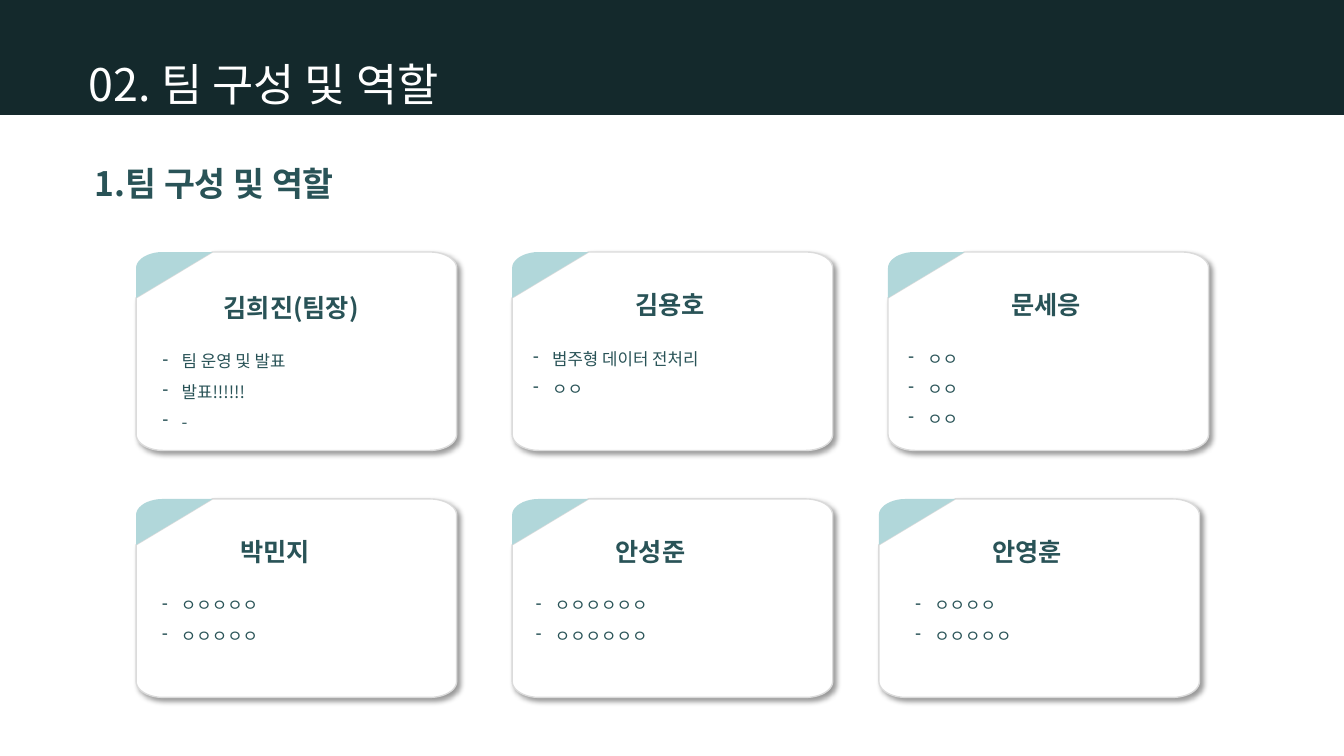
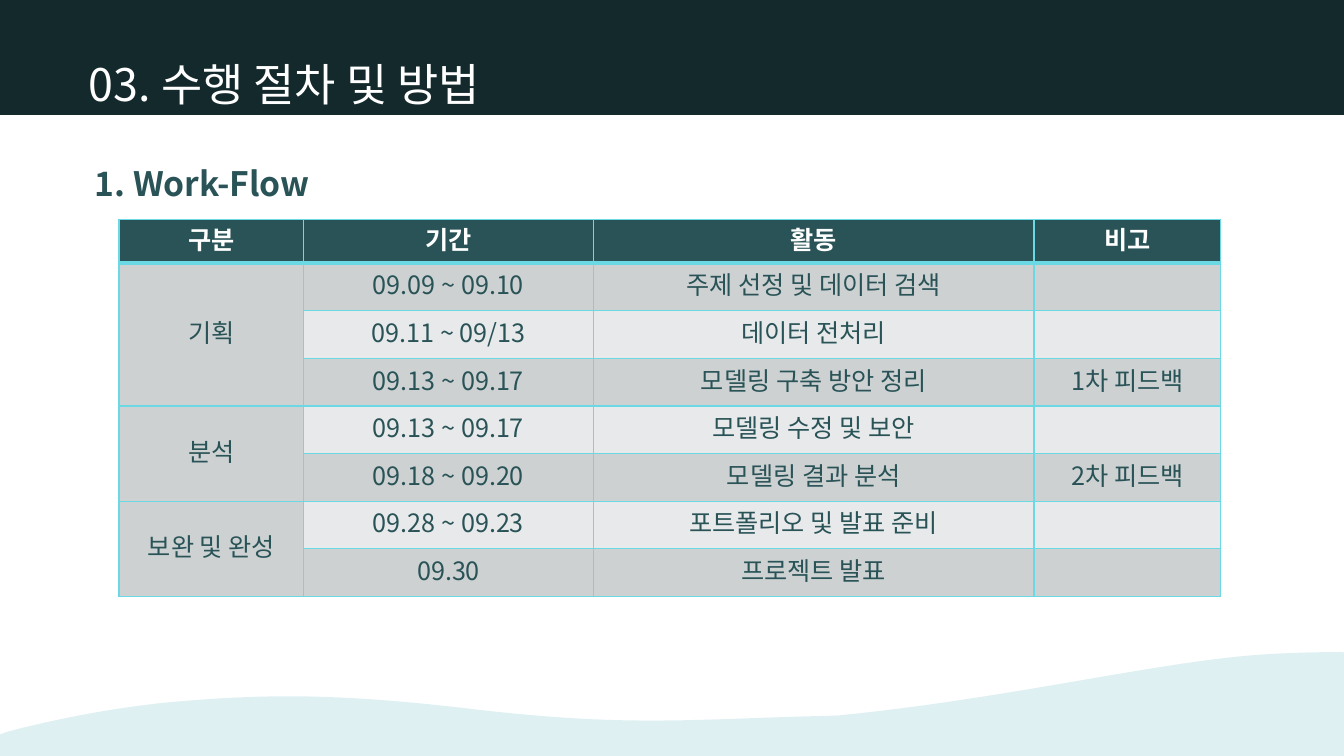
from dataclasses import dataclass
from math import cos, radians, sin

from lxml.etree import SubElement
from pptx import Presentation
from pptx.dml.color import RGBColor
from pptx.enum.shapes import MSO_SHAPE
from pptx.enum.text import MSO_ANCHOR, MSO_AUTO_SIZE, PP_ALIGN
from pptx.oxml import parse_xml
from pptx.oxml.ns import nsdecls, qn
from pptx.util import Pt

FONT = "Noto Sans CJK KR"
LINE_HEIGHT = 1.2

NAVY = RGBColor(0x14, 0x29, 0x2C)
TEAL = RGBColor(0x29, 0x53, 0x57)
FOLD = RGBColor(0xB1, 0xD7, 0xDA)
WAVE = RGBColor(0xDE, 0xF0, 0xF2)
EDGE = RGBColor(0xDB, 0xDB, 0xDB)
GRID = RGBColor(0x6B, 0xD9, 0xE3)
ROW_DARK = RGBColor(0xCD, 0xD1, 0xD1)
ROW_LIGHT = RGBColor(0xE8, 0xE9, 0xEA)
WHITE = RGBColor(0xFF, 0xFF, 0xFF)

SLIDE_W, SLIDE_H = 960, 540
BAND_H = 81.4
CARD_W, CARD_H = 229, 141.8
CARD_TOPS = (180, 356.4)
CORNER_X, CORNER_Y = 19.3, 11.5
FOLD_W, FOLD_H = 54.6, 32.8

WAVE_START = (1052.6, 486)
WAVE_CURVES = [
    ((1028.9, 468), (982.1, 463), (905.8, 467.3)),
    ((830.2, 471.6), (722.9, 499), (597.6, 511.2)),
    ((495.4, 513.4), (452.9, 519.8), (340.6, 506.9)),
    ((250.6, 496.1), (198, 495.4), (136.1, 500.4)),
    ((73.4, 504.7), (-1.4, 522), (-32.4, 535)),
]


@dataclass
class Member:
    """A card: its place, and the offsets of its name and duties in it."""
    left: float
    row: int
    name: str
    duties: list
    name_x: float
    duties_x: float
    drop: float = 0


MEMBERS = [
    Member(97.2, 0, "김희진(팀장)", ["팀 운영 및 발표", "발표!!!!!!", "-"], 55.5, 12, 2),
    Member(365.8, 0, "김용호", ["범주형 데이터 전처리", "ㅇㅇ"], 81, 8),
    Member(634.3, 0, "문세응", ["ㅇㅇ"] * 3, 81, 7.5),
    Member(97.2, 1, "박민지", ["ㅇㅇㅇㅇㅇ"] * 2, 67.5, 11.5),
    Member(365.8, 1, "안성준", ["ㅇㅇㅇㅇㅇㅇ"] * 2, 67, 10),
    Member(627.8, 1, "안영훈", ["ㅇㅇㅇㅇ", "ㅇㅇㅇㅇㅇ"], 74, 19),
]

SCHEDULE_COLUMNS = (132, 206.8, 314.8, 133.4)
SCHEDULE = [
    ("구분", "기간", "활동", "비고"),
    ("기획", "09.09 ~ 09.10", "주제 선정 및 데이터 검색", ""),
    ("", "09.11 ~ 09/13", "데이터 전처리", ""),
    ("", "09.13 ~ 09.17", "모델링 구축 방안 정리", "1차 피드백"),
    ("분석", "09.13 ~ 09.17", "모델링 수정 및 보안", ""),
    ("", "09.18 ~ 09.20", "모델링 결과 분석", "2차 피드백"),
    ("보완 및 완성", "09.28 ~ 09.23", "포트폴리오 및 발표 준비", ""),
    ("", "09.30", "프로젝트 발표", ""),
]
PHASE_ROWS = ((1, 3), (4, 5), (6, 7))


def write(paragraph, text, size, color, bold=False, spacing=1.0):
    paragraph.line_spacing = Pt(round(size * LINE_HEIGHT * spacing, 1))
    paragraph.space_before = Pt(0)
    run = paragraph.add_run()
    run.text = text
    font = run.font
    font.name, font.size, font.bold = FONT, Pt(size), bold
    font.color.rgb = color
    SubElement(run._r.get_or_add_rPr(), qn("a:ea"), typeface=FONT)


def set_bullet(paragraph, char=None, hang=0):
    """Give the paragraph a hanging bullet, or none without a char."""
    props = paragraph._p.get_or_add_pPr()
    props.set("marL", str(Pt(hang)))
    props.set("indent", str(-Pt(hang)))
    if char:
        SubElement(props, qn("a:buChar"), char=char)
    else:
        SubElement(props, qn("a:buNone"))


def paint(shape, fill, line=None):
    shape.shadow.inherit = False
    shape.fill.solid()
    shape.fill.fore_color.rgb = fill
    if line is None:
        shape.line.fill.background()
    else:
        shape.line.color.rgb = line
        shape.line.width = Pt(1)


def place(shape, left, top, width, height):
    shape.left, shape.top = Pt(left), Pt(top)
    shape.width, shape.height = Pt(width), Pt(height)


def add_outline(slide, points, fill, line=None):
    start, *rest = [(Pt(x), Pt(y)) for x, y in points]
    builder = slide.shapes.build_freeform(*start)
    builder.add_line_segments(rest, close=True)
    outline = builder.convert_to_shape()
    paint(outline, fill, line)
    return outline


def add_text_box(slide, left, top, width, height):
    box = slide.shapes.add_textbox(Pt(left), Pt(top), Pt(width), Pt(height))
    box.text_frame.word_wrap = True
    return box.text_frame


def add_section_slide(deck, title_text, heading_text):
    slide = deck.slides.add_slide(deck.slide_layouts[1])
    title, heading = slide.placeholders
    band = slide.shapes.add_shape(
        MSO_SHAPE.RECTANGLE, 0, 0, Pt(SLIDE_W), Pt(BAND_H))
    paint(band, NAVY, NAVY)
    title.element.addprevious(band.element)
    place(title, 56.2, 36.7, 600, 46)
    place(heading, 60.5, 113, 500, 36)
    for holder, text, size, color, bold in (
            (title, title_text, 32, WHITE, False),
            (heading, heading_text, 24, TEAL, True)):
        frame = holder.text_frame
        frame.auto_size = MSO_AUTO_SIZE.NONE
        frame.vertical_anchor = MSO_ANCHOR.TOP
        line = frame.paragraphs[0]
        line.alignment = PP_ALIGN.LEFT
        write(line, text, size, color, bold)
        set_bullet(line)
    return slide


def corner(center_x, center_y, start):
    """Points of a quarter ellipse, clockwise from the start angle."""
    angles = [radians(start + 90 * step / 10) for step in range(11)]
    return [(center_x + CORNER_X * cos(a), center_y + CORNER_Y * sin(a))
            for a in angles]


def cast_shadow(shape):
    effects = shape.element.spPr.find(qn("a:effectLst"))
    effects.append(parse_xml(
        f'<a:outerShdw {nsdecls("a")} blurRad="{Pt(4)}" dist="{Pt(3)}" '
        'dir="2700000" algn="tl" rotWithShape="0"><a:srgbClr val="000000">'
        '<a:alpha val="40000"/></a:srgbClr></a:outerShdw>'))


def add_member_card(slide, member):
    left, top = member.left, CARD_TOPS[member.row]
    right, bottom = left + CARD_W, top + CARD_H
    near_x, far_x = left + CORNER_X, right - CORNER_X
    near_y, far_y = top + CORNER_Y, bottom - CORNER_Y
    fold_edge = [(left, top + FOLD_H), (left + FOLD_W, top)]

    panel = add_outline(
        slide,
        fold_edge + corner(far_x, near_y, -90) + corner(far_x, far_y, 0)
        + corner(near_x, far_y, 90),
        WHITE, EDGE)
    cast_shadow(panel)
    add_outline(slide, fold_edge[::-1] + corner(near_x, near_y, 180), FOLD)

    name = add_text_box(slide, left + member.name_x, top + 23 + member.drop,
                        128, 29)
    write(name.paragraphs[0], member.name, 18, TEAL, bold=True)

    duties = add_text_box(slide, left + member.duties_x,
                          top + 58 + member.drop, 213, 71)
    for index, duty in enumerate(member.duties):
        line = duties.add_paragraph() if index else duties.paragraphs[0]
        write(line, duty, 12, TEAL, spacing=1.5)
        set_bullet(line, "-", 13.5)


def set_borders(cell, top, bottom):
    """Draw the four cell borders; top and bottom are widths."""
    props = cell._tc.get_or_add_tcPr()
    sides = (("L", 1), ("R", 1), ("T", top), ("B", bottom))
    for index, (side, width) in enumerate(sides):
        props.insert(index, parse_xml(
            f'<a:ln{side} {nsdecls("a")} w="{Pt(width)}"><a:solidFill>'
            f'<a:srgbClr val="{GRID}"/></a:solidFill></a:ln{side}>'))


def fill_cell(cell, text, row, column):
    header = row == 0
    cell.fill.solid()
    if header:
        cell.fill.fore_color.rgb = TEAL
    else:
        dark = column == 0 or row % 2 == 1
        cell.fill.fore_color.rgb = ROW_DARK if dark else ROW_LIGHT
    cell.vertical_anchor = MSO_ANCHOR.MIDDLE
    cell.margin_left = cell.margin_right = Pt(8)
    cell.margin_top = cell.margin_bottom = Pt(4)
    set_borders(cell, top=3 if row == 1 else 1, bottom=3 if header else 1)
    if text:
        line = cell.text_frame.paragraphs[0]
        line.alignment = PP_ALIGN.CENTER
        write(line, text, 18, WHITE if header else TEAL, header)


def add_schedule(slide):
    frame = slide.shapes.add_table(
        len(SCHEDULE), len(SCHEDULE_COLUMNS), Pt(85), Pt(157),
        Pt(sum(SCHEDULE_COLUMNS)), Pt(269))
    table = frame.table
    for column, width in zip(table.columns, SCHEDULE_COLUMNS):
        column.width = Pt(width)
    for row_index, texts in enumerate(SCHEDULE):
        table.rows[row_index].height = Pt(34 if row_index else 31)
        for column_index, text in enumerate(texts):
            fill_cell(table.cell(row_index, column_index), text,
                      row_index, column_index)
    for first, last in PHASE_ROWS:
        table.cell(first, 0).merge(table.cell(last, 0))


def bezier_point(points, t):
    weights = ((1 - t) ** 3, 3 * t * (1 - t) ** 2, 3 * t * t * (1 - t), t ** 3)
    return tuple(sum(w * p[axis] for w, p in zip(weights, points))
                 for axis in (0, 1))


def add_wave(slide):
    """Fill the area under the curves, kept within the slide width."""
    crest, start = [], WAVE_START
    for curve in WAVE_CURVES:
        for step in range(1, 25):
            x, y = bezier_point((start, *curve), step / 24)
            crest.append((min(max(x, 0), SLIDE_W), y))
        start = curve[-1]
    add_outline(slide, crest + [(0, SLIDE_H), (SLIDE_W, SLIDE_H)], WAVE)


def main():
    deck = Presentation()
    deck.slide_width, deck.slide_height = Pt(SLIDE_W), Pt(SLIDE_H)

    team = add_section_slide(deck, "02. 팀 구성 및 역할", "1.팀 구성 및 역할")
    for member in MEMBERS:
        add_member_card(team, member)

    workflow = add_section_slide(deck, "03. 수행 절차 및 방법", "1. Work-Flow")
    add_schedule(workflow)
    add_wave(workflow)

    deck.save("out.pptx")


if __name__ == "__main__":
    main()
